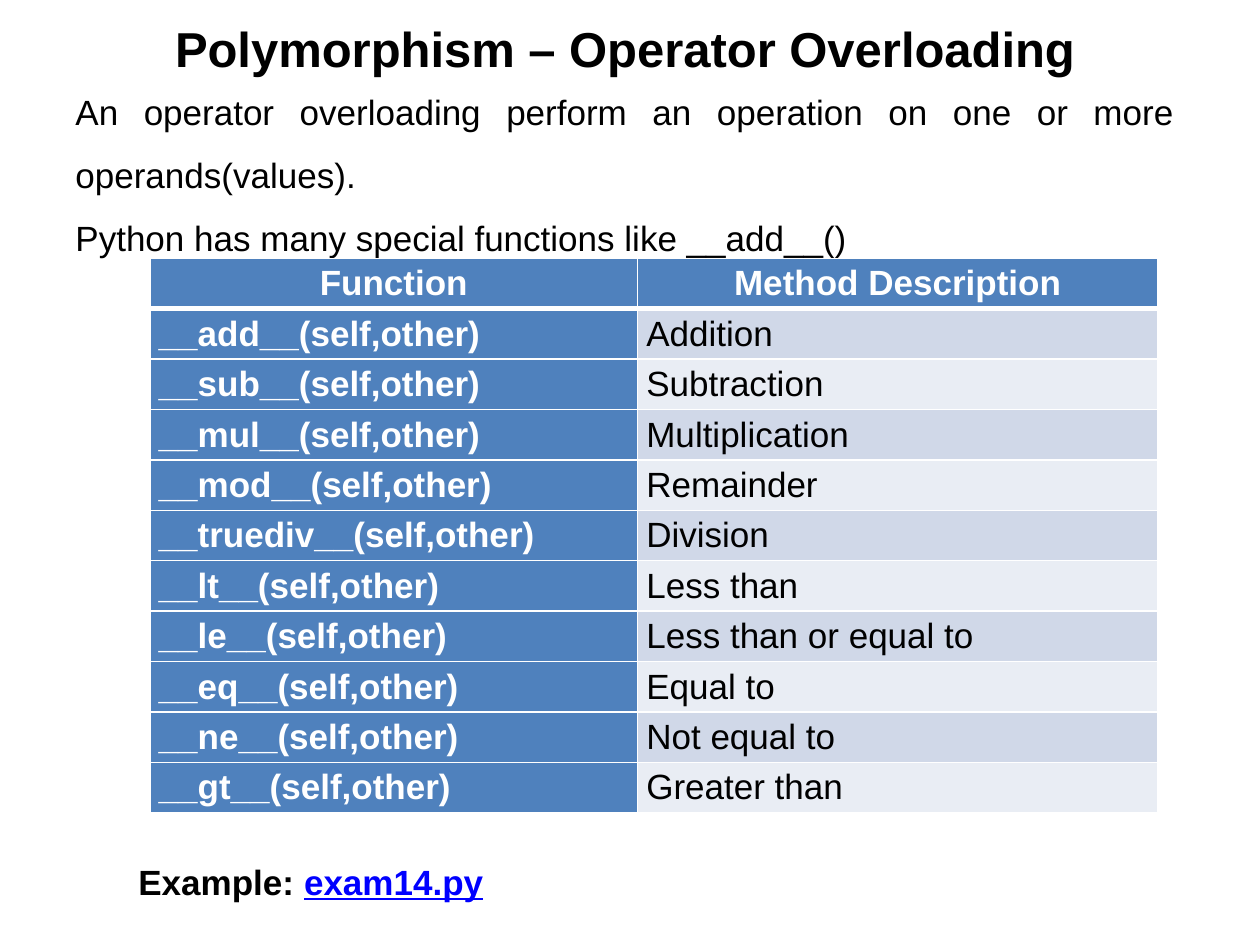
"""Build the operator overloading slide with its table of special functions."""
from lxml import etree
from pptx import Presentation
from pptx.dml import color
from pptx.enum import text
from pptx.oxml import ns
from pptx.util import Inches, Pt

COLORS = {"ink": "000000", "white": "FFFFFF", "blue": "4F81BD",
          "odd": "D0D8E8", "even": "E9EDF4", "link": "0000FF"}
OPERATORS = [("add", "Addition"), ("sub", "Subtraction"), ("mul", "Multiplication"),
             ("mod", "Remainder"), ("truediv", "Division"), ("lt", "Less than"),
             ("le", "Less than or equal to"), ("eq", "Equal to"),
             ("ne", "Not equal to"), ("gt", "Greater than")]


def style(font, size=20, shade="ink", bold=False):
    font.name = "Arial"
    font.size = Pt(size)
    font.bold = bold
    font.color.rgb = color.RGBColor.from_string(COLORS[shade])


def add_text_box(left, top, width, height):
    frame = slide.shapes.add_textbox(
        Inches(left), Inches(top), Inches(width), Inches(height)).text_frame
    frame.word_wrap = True
    return frame


presentation = Presentation()
presentation.slide_width = Inches(10)
presentation.slide_height = Inches(7.5)
slide = presentation.slides.add_slide(presentation.slide_layouts[6])

title = add_text_box(0.25, 0.05, 9.42, 0.58)
title.margin_top = Inches(0.1)
title.text = "Polymorphism – Operator Overloading"
title.paragraphs[0].alignment = text.PP_ALIGN.CENTER
style(title.paragraphs[0].runs[0].font, size=28, bold=True)

introduction = add_text_box(0.5, 0.5, 8.92, 1.55)
introduction.text = ("An operator overloading perform an operation on one or more operands(values).\n"
                     "Python has many special functions like __add__()")
for paragraph in introduction.paragraphs:
    paragraph.alignment = text.PP_ALIGN.JUSTIFY
    paragraph.line_spacing = 1.5
    style(paragraph.runs[0].font)

example = add_text_box(1, 6.78, 3, 0.44).paragraphs[0]
for words, shade in [("Example: ", "ink"), ("exam14.py", "link")]:
    run = example.add_run()
    run.text = words
    style(run.font, shade=shade, bold=True)
    run.font.underline = shade == "link"

rows = [("Function", "Method Description")]
rows += [(f"__{name}__(self,other)", meaning) for name, meaning in OPERATORS]
table = slide.shapes.add_table(len(rows), 2, Inches(1.19), Inches(2.05),
                               Inches(8), Inches(0.4 * len(rows))).table
table.columns[0].width = Inches(3.87)
table.columns[1].width = Inches(4.13)

for row_index, row in enumerate(rows):
    for column_index, words in enumerate(row):
        cell = table.cell(row_index, column_index)
        is_header = row_index == 0
        is_strong = is_header or column_index == 0
        cell.margin_left = cell.margin_right = Inches(0.07)
        cell.margin_top = cell.margin_bottom = 0

        properties = cell._tc.get_or_add_tcPr()
        for side in ("lnL", "lnR", "lnT", "lnB"):
            is_thick = (side, row_index) in (("lnB", 0), ("lnT", 1))
            line = etree.SubElement(properties, ns.qn(f"a:{side}"), w=str(Pt(3 if is_thick else 1)))
            line_fill = etree.SubElement(line, ns.qn("a:solidFill"))
            etree.SubElement(line_fill, ns.qn("a:srgbClr"), val=COLORS["white"])

        band = "odd" if row_index % 2 else "even"
        cell.fill.solid()
        cell.fill.fore_color.rgb = color.RGBColor.from_string(COLORS["blue" if is_strong else band])

        cell.text_frame.text = words
        paragraph = cell.text_frame.paragraphs[0]
        paragraph.line_spacing = 1.15
        paragraph.alignment = text.PP_ALIGN.CENTER if is_header else text.PP_ALIGN.LEFT
        style(paragraph.runs[0].font, shade="white" if is_strong else "ink", bold=is_strong)

presentation.save("out.pptx")
